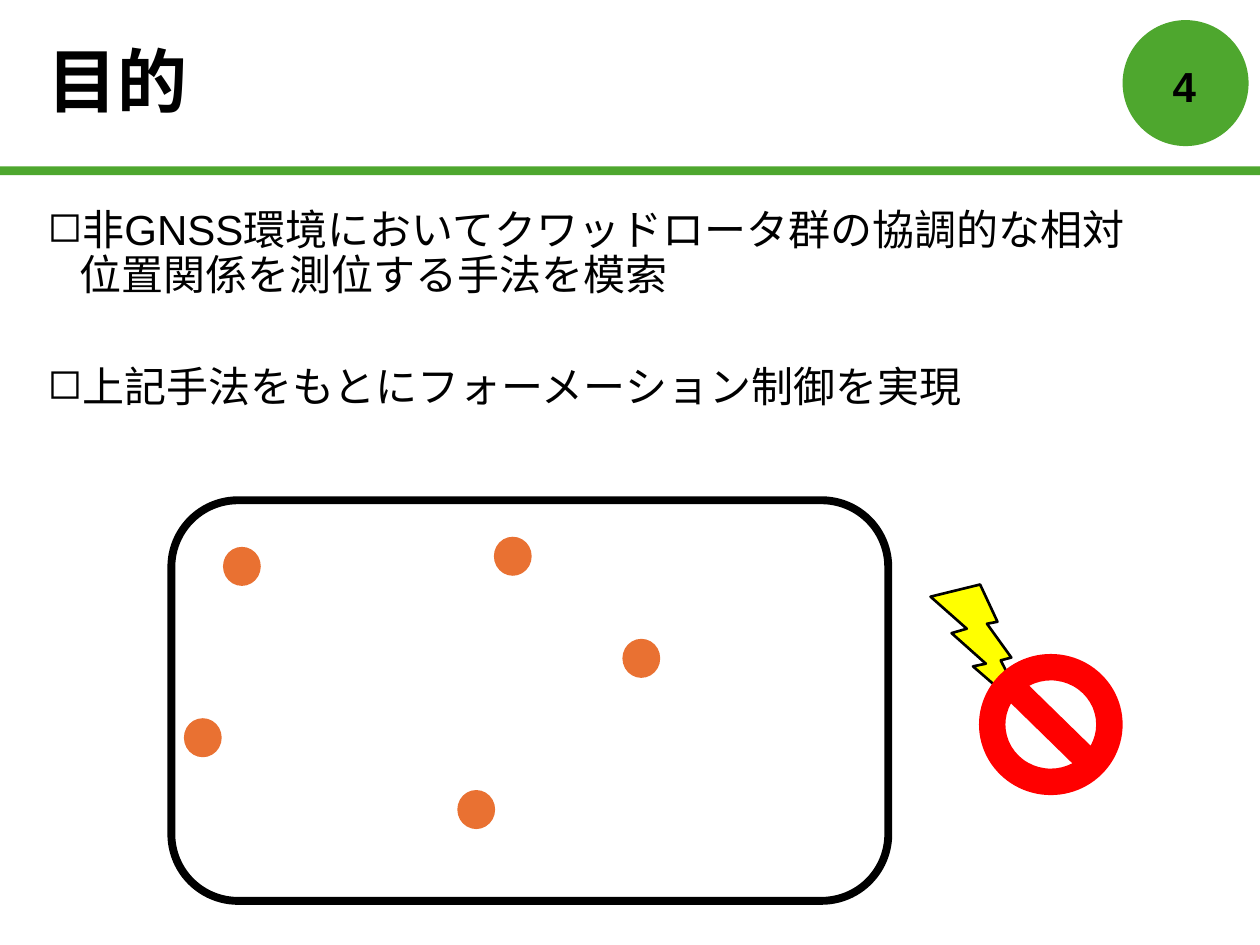
from lxml import etree
from pptx import Presentation
from pptx.dml.color import RGBColor
from pptx.enum.shapes import MSO_SHAPE
from pptx.enum.text import MSO_ANCHOR, PP_ALIGN
from pptx.oxml.ns import qn
from pptx.util import Inches, Pt

OVAL, RECT, ROUND = MSO_SHAPE.OVAL, MSO_SHAPE.RECTANGLE, MSO_SHAPE.ROUNDED_RECTANGLE
DOT, BOLT, BAN = (MSO_SHAPE.FLOWCHART_CONNECTOR, MSO_SHAPE.LIGHTNING_BOLT,
                  MSO_SHAPE.NO_SYMBOL)
MIDDLE = MSO_ANCHOR.MIDDLE
LEFT, CENTER = PP_ALIGN.LEFT, PP_ALIGN.CENTER

BLACK = RGBColor(0x00, 0x00, 0x00)
GREEN = RGBColor(0x4E, 0xA7, 0x2E)
ORANGE = RGBColor(0xE9, 0x71, 0x32)
YELLOW = RGBColor(0xFF, 0xFF, 0x00)
RED = RGBColor(0xFF, 0x00, 0x00)

DOTS = [(1.77, 4.34), (3.63, 6.27), (3.92, 4.26), (1.46, 5.7), (4.94, 5.07)]
GOALS = ["非GNSS環境においてクワッドロータ群の協調的な相対\v位置関係を測位する手法を模索",
         "上記手法をもとにフォーメーション制御を実現"]


class Page:
    face = "Arial"

    def __init__(self, slide):
        self.slide = slide

    def style(self, para, size, bold=False, align=LEFT):
        para.alignment = align
        font = para.font
        font.name, font.size, font.bold = self.face, Pt(size), bold
        font.color.rgb = BLACK

    def title(self, text, box):
        shape = self.slide.shapes.title
        shape.left, shape.top, shape.width, shape.height = map(Inches, box)
        frame = shape.text_frame
        frame.text = text
        frame.vertical_anchor = MIDDLE
        para = frame.paragraphs[0]
        para.line_spacing = 0.9
        self.style(para, 40, True)

    def frame(self, box):
        frame = self.slide.shapes.add_textbox(*map(Inches, box)).text_frame
        frame.word_wrap = True
        return frame

    def number(self, text, box):
        frame = self.frame(box)
        frame.vertical_anchor = MIDDLE
        frame.text = text
        self.style(frame.paragraphs[0], 24, True, CENTER)

    def bullets(self, items, box, gap):
        frame = self.frame(box)
        for i, text in enumerate(items):
            para = frame.add_paragraph() if i else frame.paragraphs[0]
            para.text = text
            para.line_spacing = 0.9
            para.space_before = Pt(gap if i else 0)
            props = para._p.get_or_add_pPr()
            props.set("marL", str(Inches(0.25)))
            props.set("indent", str(-Inches(0.25)))
            etree.SubElement(props, qn("a:buChar")).set("char", "◻")
            self.style(para, 24)

    def shape(self, kind, box, fill=None, line=0, turn=0):
        shape = self.slide.shapes.add_shape(kind, *map(Inches, box))
        shape.shadow.inherit = False
        shape.rotation = turn
        if fill is None:
            shape.fill.background()
        else:
            shape.fill.solid()
            shape.fill.fore_color.rgb = fill
        if line:
            shape.line.color.rgb = BLACK
            shape.line.width = Pt(line)
        else:
            shape.line.fill.background()


def main():
    deck = Presentation()
    deck.slide_width, deck.slide_height = Inches(10), Inches(7.5)
    page = Page(deck.slides.add_slide(deck.slide_layouts[5]))

    page.shape(OVAL, (8.91, 0.16, 1, 1), GREEN)
    page.shape(RECT, (0, 1.32, 10, 0.07), GREEN)
    page.title("目的", (0.28, 0.19, 8.62, 0.97))
    page.number("4", (9.09, 0.48, 0.62, 0.4))
    page.bullets(GOALS, (0.28, 1.61, 9.43, 1.89), gap=38)

    page.shape(ROUND, (1.36, 3.97, 5.69, 3.18), line=4.5)
    for left, top in DOTS:
        page.shape(DOT, (left, top, 0.3, 0.31), ORANGE)

    page.shape(BOLT, (7.32, 4.65, 0.94, 0.94), YELLOW, 1.5, turn=10.9)
    page.shape(BAN, (7.77, 5.19, 1.14, 1.12), RED)

    deck.save("out.pptx")


if __name__ == "__main__":
    main()
